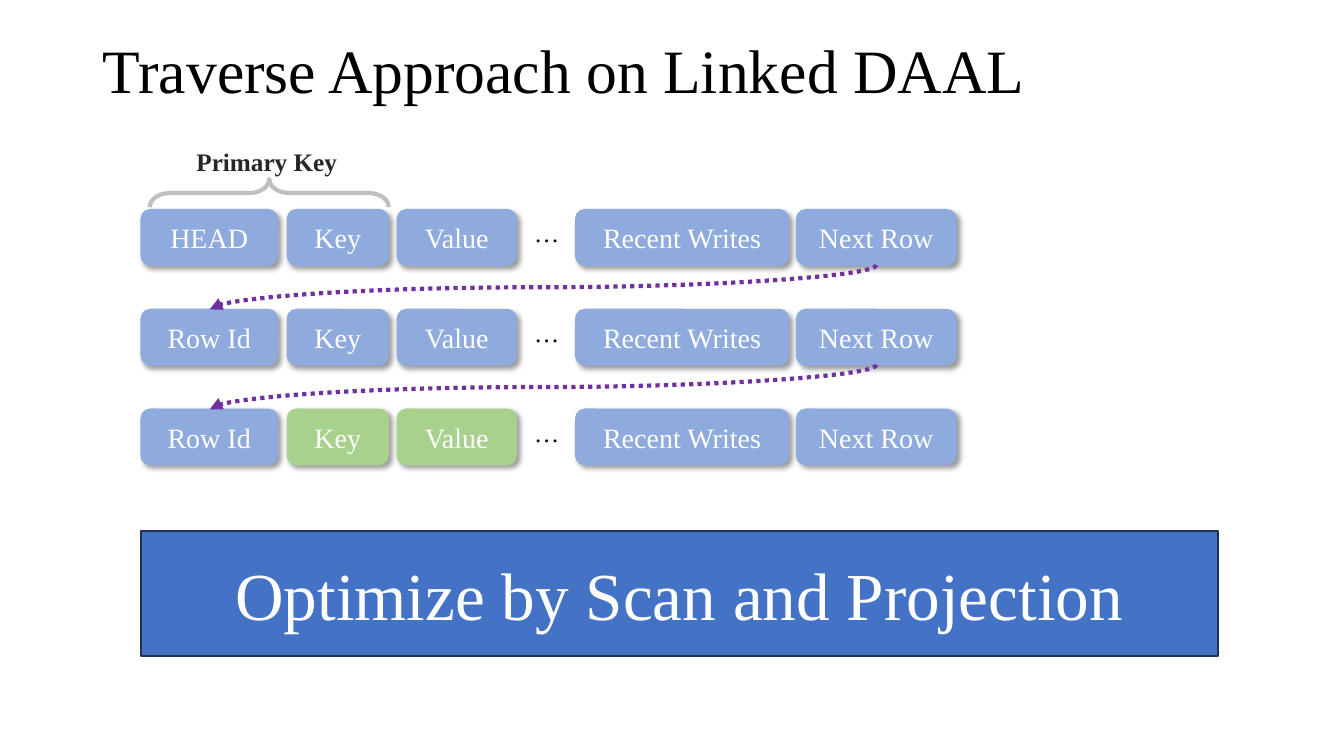
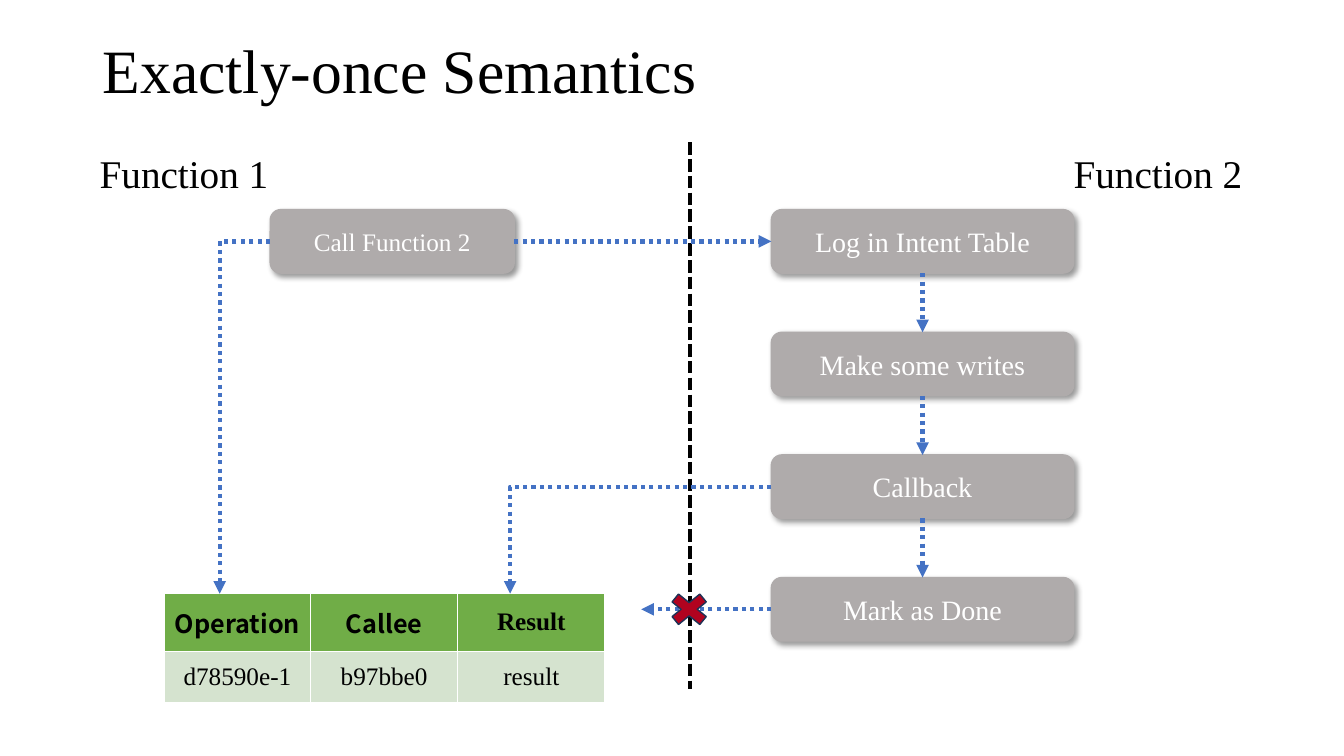
from itertools import pairwise

from lxml.etree import SubElement
from pptx import Presentation
from pptx.dml.color import RGBColor
from pptx.enum.dml import MSO_LINE
from pptx.enum.shapes import MSO_CONNECTOR, MSO_SHAPE
from pptx.enum.text import MSO_ANCHOR, PP_ALIGN
from pptx.oxml.ns import qn
from pptx.util import Inches, Pt

BLACK = RGBColor(0x00, 0x00, 0x00)
WHITE = RGBColor(0xFF, 0xFF, 0xFF)
DARK_GRAY = RGBColor(0x26, 0x26, 0x26)
BRACE_GRAY = RGBColor(0xBF, 0xBF, 0xBF)
STEP_GRAY = RGBColor(0xAF, 0xAB, 0xAB)
BLUE = RGBColor(0x44, 0x72, 0xC4)
LIGHT_BLUE = RGBColor(0x8F, 0xAA, 0xDC)
NAVY = RGBColor(0x1E, 0x32, 0x56)
LIGHT_GREEN = RGBColor(0xA9, 0xD1, 0x8E)
HEADER_GREEN = RGBColor(0x70, 0xAD, 0x47)
PALE_GREEN = RGBColor(0xD5, 0xE3, 0xCF)
PURPLE = RGBColor(0x70, 0x30, 0xA0)
RED = RGBColor(0xB1, 0x03, 0x1F)
FONT = "Times New Roman"
HEADER_FONT = "Noto Sans CJK SC"


def write(shape, text="", size=20, color=WHITE, font=FONT, bold=False,
          align=PP_ALIGN.CENTER, anchor=MSO_ANCHOR.MIDDLE, wrap=True,
          line_spacing=None, fill=None, outline=None, outline_width=1, shadow=False):
    """Put formatted text in a shape and, if asked, give it fill, outline and shadow."""
    if text:
        frame = shape.text_frame
        frame.word_wrap = wrap
        frame.vertical_anchor = anchor
        paragraph = frame.paragraphs[0]
        paragraph.alignment = align
        paragraph.line_spacing = line_spacing
        run = paragraph.add_run()
        run.text = text
        run.font.name = font
        run.font.size = Pt(size)
        run.font.bold = bold
        run.font.color.rgb = color
    if fill is not None:
        shape.fill.solid()
        shape.fill.fore_color.rgb = fill
    if outline is not None:
        shape.line.color.rgb = outline
        shape.line.width = Pt(outline_width)
        shape.shadow.inherit = False
    if shadow:
        effects = shape.element.spPr.find(qn("a:effectLst"))
        outer = SubElement(effects, qn("a:outerShdw"), blurRad="50800", dist="38100",
                           dir="2700000", algn="tl", rotWithShape="0")
        black = SubElement(outer, qn("a:srgbClr"), val="000000")
        SubElement(black, qn("a:alpha"), val="40000")


def draw_line(slide, start, end, color=BLUE, kind=MSO_CONNECTOR.STRAIGHT,
              dash=MSO_LINE.ROUND_DOT, arrow=True, bend=None):
    """Draw a dashed line; bend is the share of the width before an elbow turns."""
    connector = slide.shapes.add_connector(
        kind, *(Inches(value) for value in (*start, *end)))
    connector.line.color.rgb = color
    connector.line.width = Pt(3)
    connector.line.dash_style = dash
    properties = connector.element.spPr
    if arrow:
        SubElement(properties.find(qn("a:ln")), qn("a:tailEnd"), type="triangle")
    if bend is not None:
        guides = properties.find(qn("a:prstGeom")).find(qn("a:avLst"))
        SubElement(guides, qn("a:gd"), name="adj1", fmla=f"val {int(bend * 100000)}")
    SubElement(properties, qn("a:effectLst"))
    return connector


presentation = Presentation()
presentation.slide_width = Inches(13.33)
presentation.slide_height = Inches(7.5)

# Shared title position, inherited by both slides
layout = presentation.slide_layouts.get_by_name("Title Only")
layout_title = layout.placeholders[0]
layout_title.left, layout_title.top = Inches(0.92), Inches(0)
layout_title.width, layout_title.height = Inches(11.5), Inches(1.45)

slides = []
for title in ("Traverse Approach on Linked DAAL", "Exactly-once Semantics"):
    slide = presentation.slides.add_slide(layout)
    write(slide.shapes.title, title, size=44, color=BLACK, align=PP_ALIGN.LEFT,
          line_spacing=0.9)
    slides.append(slide)
list_slide, semantics_slide = slides

# Slide 1: linked rows
shapes = list_slide.shapes
ROW_TOP, ROW_STEP, ROW_HEIGHT = 2.08, 0.99, 0.55
columns = [("Row Id", 1.4, 1.35), ("Key", 2.85, 1), ("Value", 3.94, 1.18),
           ("Recent Writes", 5.71, 2.11), ("Next Row", 7.9, 1.58)]
row_tops = [ROW_TOP + row * ROW_STEP for row in range(3)]
for row, top in enumerate(row_tops):
    for name, left, width in columns:
        label = "HEAD" if row == 0 and name == "Row Id" else name
        color = LIGHT_GREEN if row == 2 and name in ("Key", "Value") else LIGHT_BLUE
        cell_box = shapes.add_shape(MSO_SHAPE.ROUNDED_RECTANGLE, Inches(left),
                                    Inches(top), Inches(width), Inches(ROW_HEIGHT))
        write(cell_box, label, fill=color, outline=color, shadow=True)
    ellipsis = shapes.add_textbox(Inches(5.2), Inches(top + 0.03), Inches(0.6), Inches(0.4))
    write(ellipsis, "…", size=18, color=BLACK, align=PP_ALIGN.LEFT, anchor=MSO_ANCHOR.TOP)

# A curve that leaves downwards is drawn upright, then turned by 90 degrees
NEXT_ROW_X, ROW_ID_X = 8.69, 2.08
span, gap = NEXT_ROW_X - ROW_ID_X, ROW_STEP - ROW_HEIGHT
center_x = (NEXT_ROW_X + ROW_ID_X) / 2
for top in row_tops[:-1]:
    center_y = top + ROW_HEIGHT + gap / 2
    curve = draw_line(list_slide, (center_x - gap / 2, center_y - span / 2),
                      (center_x + gap / 2, center_y + span / 2), color=PURPLE,
                      kind=MSO_CONNECTOR.CURVE, bend=0.5)
    curve.element.spPr.find(qn("a:xfrm")).set("rot", "5400000")

key_label = shapes.add_textbox(Inches(1.85), Inches(1.4), Inches(1.61), Inches(0.4))
write(key_label, "Primary Key", size=18, color=DARK_GRAY, bold=True, wrap=False,
      align=PP_ALIGN.LEFT, anchor=MSO_ANCHOR.TOP)
brace = shapes.add_shape(MSO_SHAPE.LEFT_BRACE, Inches(2.53), Inches(0.73),
                         Inches(0.28), Inches(2.37))
brace.rotation = 90
brace.adjustments[0], brace.adjustments[1] = 0.7, 0.5
brace.fill.background()
write(brace, outline=BRACE_GRAY, outline_width=3)

banner = shapes.add_shape(MSO_SHAPE.RECTANGLE, Inches(1.4), Inches(5.27),
                          Inches(10.68), Inches(1.24))
write(banner, "Optimize by Scan and Projection", size=48, fill=BLUE, outline=NAVY)

# Slide 2: calls between two functions
shapes = semantics_slide.shapes
draw_line(semantics_slide, (6.84, 1.41), (6.84, 6.84), color=BLACK,
          dash=MSO_LINE.SQUARE_DOT, arrow=False)
for name, left in (("Function 1", 0.89), ("Function 2", 10.55)):
    heading = shapes.add_textbox(Inches(left), Inches(1.43), Inches(1.89), Inches(0.57))
    write(heading, name, size=28, color=BLACK, wrap=False, align=PP_ALIGN.LEFT,
          anchor=MSO_ANCHOR.TOP)

STEP_LEFT, STEP_WIDTH, STEP_HEIGHT = 7.65, 3, 0.63
FIRST_TOP, LAST_TOP = 2.08, 5.73
CALL_LEFT, CALL_WIDTH = 2.68, 2.42
TABLE_TOP = 5.89
steps = ["Log in Intent Table", "Make some writes", "Callback", "Mark as Done"]
pitch = (LAST_TOP - FIRST_TOP) / (len(steps) - 1)
step_tops = [FIRST_TOP + index * pitch for index in range(len(steps))]
middles = [top + STEP_HEIGHT / 2 for top in step_tops]

boxes = []
for label, left, top, width, size in [
        ("Call Function 2", CALL_LEFT, FIRST_TOP, CALL_WIDTH, 18),
        *((step, STEP_LEFT, top, STEP_WIDTH, 20) for step, top in zip(steps, step_tops))]:
    box = shapes.add_shape(MSO_SHAPE.ROUNDED_RECTANGLE, Inches(left), Inches(top),
                           Inches(width), Inches(STEP_HEIGHT))
    write(box, label, size=size, fill=STEP_GRAY, outline=STEP_GRAY, shadow=True)
    boxes.append(box)
call_box, *step_boxes = boxes

table = shapes.add_table(2, 3, Inches(1.63), Inches(TABLE_TOP),
                         Inches(4.37), Inches(1.08)).table
for column, width in zip(table.columns, (1.45, 1.46, 1.46)):
    column.width = Inches(width)
for row, height in zip(table.rows, (0.57, 0.51)):
    row.height = Inches(height)
header = ["Operation", "Callee", "Result"]
record = ["d78590e-1", "b97bbe0", "result"]
for row, values in enumerate((header, record)):
    for column, value in enumerate(values):
        cell = table.cell(row, column)
        cell.vertical_anchor = MSO_ANCHOR.MIDDLE
        is_header = row == 0
        write(cell, value, size=18, color=BLACK, bold=is_header, wrap=None,
              font=HEADER_FONT if is_header and value != "Result" else FONT,
              fill=HEADER_GREEN if is_header else PALE_GREEN)

call_arrow = draw_line(semantics_slide, (CALL_LEFT + CALL_WIDTH, middles[0]),
                       (STEP_LEFT, middles[0]))
call_arrow.begin_connect(call_box, 3)
call_arrow.end_connect(step_boxes[0], 1)
step_center = STEP_LEFT + STEP_WIDTH / 2
for (upper, upper_top), (lower, lower_top) in pairwise(zip(step_boxes, step_tops)):
    step_arrow = draw_line(semantics_slide, (step_center, upper_top + STEP_HEIGHT),
                           (step_center, lower_top))
    step_arrow.begin_connect(upper, 2)
    step_arrow.end_connect(lower, 0)
for start, table_x in (((CALL_LEFT, middles[0]), 2.18), ((STEP_LEFT, middles[2]), 5.06)):
    draw_line(semantics_slide, start, (table_x, TABLE_TOP),
              kind=MSO_CONNECTOR.ELBOW, bend=1)
draw_line(semantics_slide, (STEP_LEFT, middles[3]), (6.36, middles[3]))

cross = shapes.add_shape(MSO_SHAPE.MATH_MULTIPLY, Inches(6.62), Inches(5.78),
                         Inches(0.43), Inches(0.53))
cross.rotation = 90
write(cross, fill=RED, outline=NAVY)

presentation.save("out.pptx")
